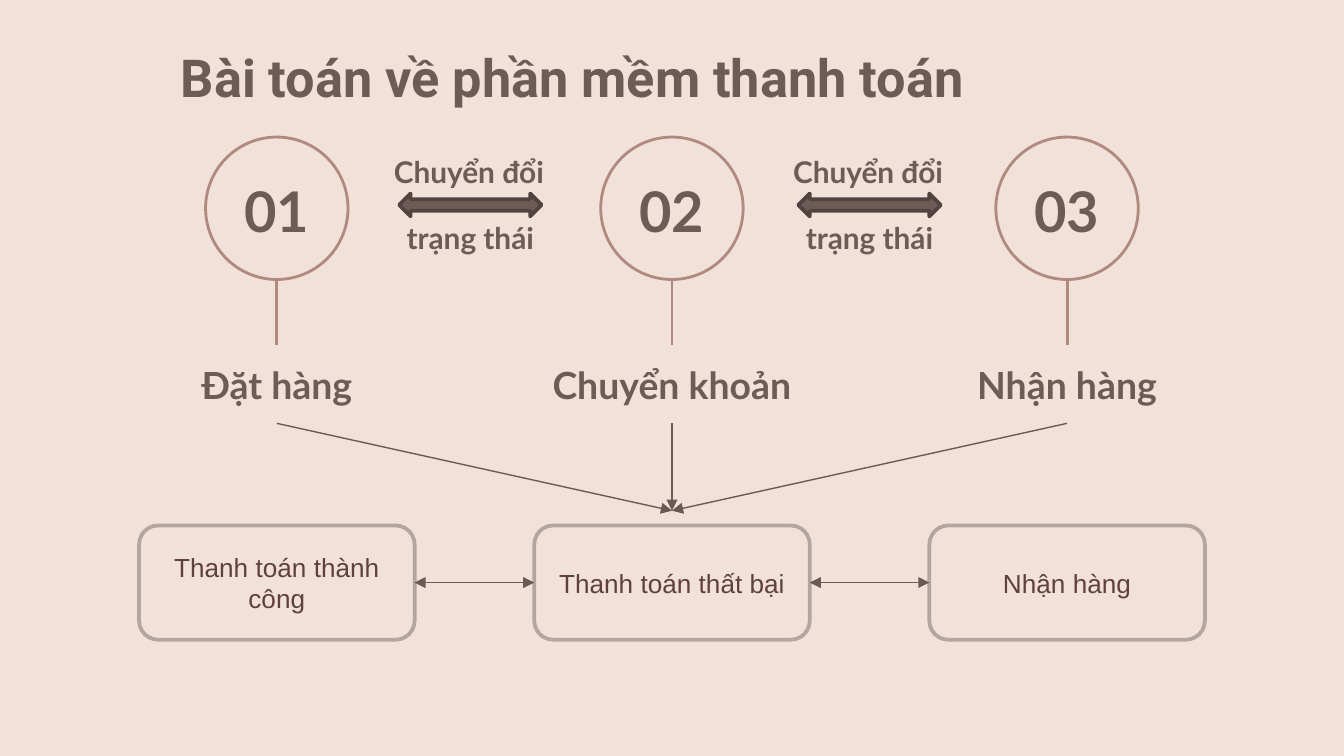
import pptx
import pptx.util
import pptx.dml.color
import pptx.enum.shapes
import pptx.enum.text
import pptx.oxml
import pptx.oxml.ns

Inches = pptx.util.Inches
Pt = pptx.util.Pt
Kind = pptx.enum.shapes.MSO_SHAPE
Anchor = pptx.enum.text.MSO_ANCHOR
COLORS = {
    "back": "F2E1D8",
    "text": "6D5B57",
    "ring": "B08980",
    "link": "6B5955",
    "frame": "B3A6A0",
    "edge": "514340",
    "note": "5E413A",
}
MID = 5
STEP = 2.94
STEPS = ["Đặt hàng", "Chuyển khoản", "Nhận hàng"]
STATES = ["Thanh toán thành công", "Thanh toán thất bại", "Nhận hàng"]


def color(name):
    return pptx.dml.color.RGBColor.from_string(COLORS[name])


def write(shape, text, size, font="Lato", bold=True, tone="text", inset=0.1):
    frame = shape.text_frame
    frame.word_wrap = True
    frame.vertical_anchor = Anchor.MIDDLE
    frame.margin_left = frame.margin_right = Inches(0.1)
    frame.margin_top = frame.margin_bottom = Inches(inset)
    frame.text = text
    line = frame.paragraphs[0]
    line.alignment = pptx.enum.text.PP_ALIGN.CENTER
    for run in line.runs:
        run.font.name = font
        run.font.size = Pt(size)
        run.font.bold = bold
        run.font.color.rgb = color(tone)


def label(slide, text, size, left, top, width, height):
    box = slide.shapes.add_textbox(
        Inches(left), Inches(top), Inches(width), Inches(height))
    write(box, text, size)
    return box


def draw(slide, kind, left, top, width, height, edge, weight, fill=None):
    shape = slide.shapes.add_shape(
        kind, Inches(left), Inches(top), Inches(width), Inches(height))
    shape.shadow.inherit = False
    if fill:
        shape.fill.solid()
        shape.fill.fore_color.rgb = color(fill)
    else:
        shape.fill.background()
    shape.line.color.rgb = color(edge)
    shape.line.width = Pt(weight)
    return shape


def join(slide, start, end, tone="link", weight=0.75, heads=()):
    line = slide.shapes.add_connector(
        pptx.enum.shapes.MSO_CONNECTOR.STRAIGHT,
        *[Inches(n) for n in (*start, *end)])
    line.line.color.rgb = color(tone)
    line.line.width = Pt(weight)
    stroke = line.line._get_or_add_ln()
    for head in heads:
        mark = pptx.oxml.ns.qn("a:" + head)
        stroke.append(stroke.makeelement(mark, {"type": "triangle"}))
    props = line._element.spPr
    props.append(props.makeelement(pptx.oxml.ns.qn("a:effectLst"), {}))
    return line


def add_title(slide, left, top, width, height):
    title = slide.shapes.title
    title.left, title.top = Inches(left), Inches(top)
    title.width, title.height = Inches(width), Inches(height)
    write(title, "Bài toán về phần mềm thanh toán", 28, "Roboto")
    title.text_frame.vertical_anchor = Anchor.TOP


def add_step(slide, number, text, left, top, width):
    size = 1.06
    mid = left + width / 2
    draw(slide, Kind.OVAL, mid - size / 2, top, size, size, "ring", 1.5)
    label(slide, f"{number:02}", 30, left, top + 0.22, width, 0.65)
    name = label(slide, text, 20, left, top + 1.55, width, 0.58)
    stem = join(slide, (mid, top + size), (mid, top + 1.55), "ring", 1.5)
    stem.end_connect(name, 0)
    return name


def add_change(slide, left, top, width):
    label(slide, "Chuyển đổi", 16, left, top, width, 0.44)
    draw(slide, Kind.LEFT_RIGHT_ARROW, left + 0.21, top + 0.38,
         width - 0.4, 0.17, "edge", 2, "text")
    label(slide, "trạng thái", 16, left + 0.01, top + 0.49, width, 0.44)


def add_fan(slide, names, mid, top, height):
    for i, name in enumerate(names):
        start = (mid + (i - 1) * STEP, top)
        line = join(slide, start, (mid, top + height), heads=["tailEnd"])
        line.begin_connect(name, 2)


def add_states(slide, mid, top, width, height):
    boxes = []
    for i, text in enumerate(STATES):
        left = mid + (i - 1) * STEP - width / 2
        box = draw(slide, Kind.ROUNDED_RECTANGLE, left, top, width, height,
                   "frame", 2, "back")
        write(box, text, 14, "Arial", False, "note", 0.05)
        boxes.append(box)
    for one, two in zip(boxes, boxes[1:]):
        line = join(slide, (0, 0), (1, 1), heads=["headEnd", "tailEnd"])
        line.begin_connect(one, 3)
        line.end_connect(two, 1)


def main():
    deck = pptx.Presentation()
    deck.slide_width = Inches(10)
    deck.slide_height = Inches(10 * 9 / 16)
    slide = deck.slides.add_slide(deck.slide_layouts[5])
    slide.background.fill.solid()
    slide.background.fill.fore_color.rgb = color("back")
    add_title(slide, 0.04, 0.24, 8.43, 0.63)
    width = 2.56
    names = [
        add_step(slide, i + 1, text, MID + (i - 1) * STEP - width / 2,
                 1.02, width)
        for i, text in enumerate(STEPS)
    ]
    add_fan(slide, names, MID, 3.15, 0.65)
    add_states(slide, MID, 3.91, 2.05, 0.85)
    for left in (2.76, 5.73):
        add_change(slide, left, 1.06, 1.46)
    deck.save("out.pptx")


if __name__ == "__main__":
    main()
